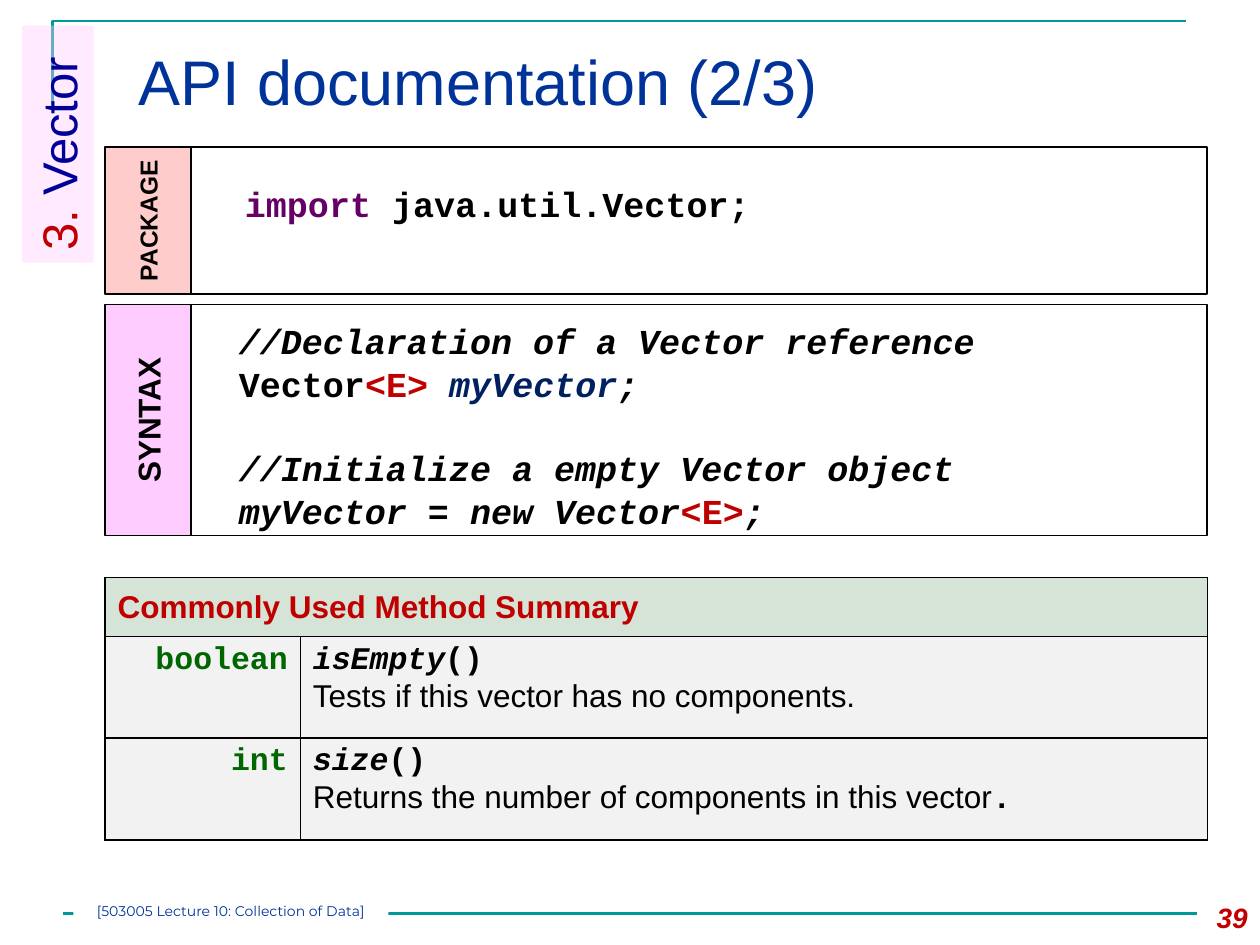
from dataclasses import dataclass

from lxml import etree
from pptx import Presentation
from pptx.dml.color import RGBColor
from pptx.enum.shapes import MSO_CONNECTOR, MSO_SHAPE
from pptx.enum.text import MSO_ANCHOR, PP_ALIGN
from pptx.oxml.ns import qn
from pptx.util import Pt

COLORS = {
    "black": "000000", "white": "FFFFFF", "teal": "009999", "title": "003399",
    "navy": "000099", "red": "C00000", "variable": "002060", "keyword": "660066",
    "type": "006600", "pink": "FFCCCC", "lilac": "FFCCFF", "sage": "D6E3D7",
    "gray": "F2F2F2",
}
SANS, MONO = "Arial", "Courier New"
LEFT, RIGHT = 60, 690
LABEL_WIDTH = 49
CODE_PITCH = 24.2


@dataclass(frozen=True)
class Span:
    text: str
    size: float
    color: str = "black"
    font: str = SANS
    bold: bool = False
    italic: bool = False


@dataclass(frozen=True)
class Panel:
    label: str
    label_size: float
    label_fill: str
    top: float
    height: float
    inset_top: float
    inset_bottom: float
    lines: list
    gap_before: int = -1  # index of the line that opens a new block


@dataclass(frozen=True)
class Method:
    returns: str
    name: str
    summary: list


def rgb(color: str) -> RGBColor:
    return RGBColor.from_string(COLORS[color])


def code(text: str, color: str = "black", italic: bool = False, size: float = 20) -> Span:
    return Span(text, size, color, MONO, True, italic)


def add_spans(paragraph, spans: list, align=PP_ALIGN.LEFT) -> None:
    paragraph.alignment = align
    for span in spans:
        run = paragraph.add_run()
        run.text = span.text
        run.font.size = Pt(span.size)
        run.font.name = span.font
        run.font.bold = span.bold
        run.font.italic = span.italic
        run.font.color.rgb = rgb(span.color)


def set_insets(frame, left: float, top: float, right: float, bottom: float) -> None:
    frame.margin_left, frame.margin_top = Pt(left), Pt(top)
    frame.margin_right, frame.margin_bottom = Pt(right), Pt(bottom)


def add_box(slide, left: float, top: float, width: float, height: float,
            fill: str = "", line: str = "", anchor=MSO_ANCHOR.MIDDLE):
    box = slide.shapes.add_shape(
        MSO_SHAPE.RECTANGLE, Pt(left), Pt(top), Pt(width), Pt(height))
    box.shadow.inherit = False
    if fill:
        box.fill.solid()
        box.fill.fore_color.rgb = rgb(fill)
    else:
        box.fill.background()
    if line:
        box.line.color.rgb = rgb(line)
        box.line.width = Pt(1)
    else:
        box.line.fill.background()
    box.text_frame.word_wrap = True
    box.text_frame.vertical_anchor = anchor
    return box


def add_text(slide, left: float, top: float, width: float, height: float,
             span: Span, align=PP_ALIGN.LEFT, inset_top: float = 3.6) -> None:
    frame = slide.shapes.add_textbox(
        Pt(left), Pt(top), Pt(width), Pt(height)).text_frame
    frame.word_wrap = True
    frame.margin_top = Pt(inset_top)
    add_spans(frame.paragraphs[0], [span], align)


def add_frame_lines(slide) -> None:
    """Draw the corner line at the top and the rule at the bottom."""
    builder = slide.shapes.build_freeform(Pt(30), Pt(60))
    builder.add_line_segments([(Pt(30), Pt(12)), (Pt(678), Pt(12))], close=False)
    corner = builder.convert_to_shape()
    corner.shadow.inherit = False
    corner.fill.background()
    rule = slide.shapes.add_connector(
        MSO_CONNECTOR.STRAIGHT, Pt(36), Pt(522), Pt(684), Pt(522))
    etree.SubElement(rule.element.spPr, qn("a:effectLst"))
    for stroke in (corner.line, rule.line):
        stroke.color.rgb = rgb("teal")
        stroke.width = Pt(1.5)


def add_section_tab(slide) -> None:
    tab = add_box(slide, -34.6, 61.9, 135.4, 41, fill="lilac", anchor=MSO_ANCHOR.TOP)
    tab.rotation = 270
    fill_color = tab.element.spPr.find(f"{qn('a:solidFill')}/{qn('a:srgbClr')}")
    etree.SubElement(fill_color, qn("a:alpha"), val="40000")
    add_spans(tab.text_frame.paragraphs[0],
              [Span("3.", 28, "red"), Span(" Vector", 28, "navy")])


def add_panel(slide, panel: Panel) -> None:
    label = add_box(slide, LEFT, panel.top, LABEL_WIDTH, panel.height,
                    panel.label_fill, "black")
    label.text_frame._txBody.bodyPr.set("vert", "vert270")
    add_spans(label.text_frame.paragraphs[0],
              [Span(panel.label, panel.label_size, bold=True)], PP_ALIGN.CENTER)

    body_left = LEFT + LABEL_WIDTH
    body = add_box(slide, body_left, panel.top, RIGHT - body_left, panel.height,
                   line="black")
    frame = body.text_frame
    set_insets(frame, 27.5 if panel.gap_before > 0 else 31, panel.inset_top,
               7.2, panel.inset_bottom)
    for index, spans in enumerate(panel.lines):
        paragraph = frame.add_paragraph() if index else frame.paragraphs[0]
        paragraph.line_spacing = Pt(CODE_PITCH)
        if index == panel.gap_before:
            paragraph.space_before = Pt(CODE_PITCH)
        add_spans(paragraph, spans)


def style_cell(cell, fill: str) -> None:
    properties = cell._tc.get_or_add_tcPr()
    for side in ("lnL", "lnR", "lnT", "lnB"):
        border = etree.SubElement(properties, qn(f"a:{side}"), w=str(Pt(1)))
        stroke = etree.SubElement(border, qn("a:solidFill"))
        etree.SubElement(stroke, qn("a:srgbClr"), val=COLORS["black"])
    cell.fill.solid()
    cell.fill.fore_color.rgb = rgb(fill)


def add_method_table(slide, heading: str, methods: list) -> None:
    table = slide.shapes.add_table(
        len(methods) + 1, 2, Pt(LEFT), Pt(330), Pt(RIGHT - LEFT), Pt(150)).table
    for column, width in zip(table.columns, (111.6, 518.4)):
        column.width = Pt(width)
    for row, height in zip(table.rows, (33.8, 58, 58.2)):
        row.height = Pt(height)
    for index, row in enumerate(table.rows):
        for cell in row.cells:
            style_cell(cell, "gray" if index else "sage")

    header = table.cell(0, 0)
    header.merge(table.cell(0, 1))
    header.vertical_anchor = MSO_ANCHOR.MIDDLE
    add_spans(header.text_frame.paragraphs[0], [Span(heading, 18, "red", bold=True)])
    for index, method in enumerate(methods, start=1):
        add_spans(table.cell(index, 0).text_frame.paragraphs[0],
                  [code(method.returns, "type", size=18)], PP_ALIGN.RIGHT)
        description = table.cell(index, 1).text_frame.paragraphs[0]
        add_spans(description, [code(method.name, italic=True, size=18),
                                code("()", size=18)])
        description.add_line_break()
        add_spans(description, method.summary)


PANELS = [
    Panel("SYNTAX", 18, "lilac", 174, 132, 6, 0, [
        [code("//Declaration of a Vector reference", italic=True)],
        [code("Vector"), code("<E> ", "red"), code("myVector", "variable", True),
         code(";", italic=True)],
        [code("//Initialize a empty Vector object", italic=True)],
        [code("myVector = new Vector", italic=True), code("<E>", "red"),
         code(";", italic=True)],
    ], gap_before=2),
    Panel("PACKAGE", 14, "pink", 84, 84, 0, 20, [
        [code("import", "keyword"), code(" java.util.Vector;")],
    ]),
]
METHODS = [
    Method("boolean", "isEmpty", [Span("Tests if this vector has no components.", 18)]),
    Method("int", "size", [Span("Returns the number of components in this vector", 18),
                           code(".", size=18)]),
]


def main() -> None:
    deck = Presentation()
    deck.slide_width, deck.slide_height = Pt(720), Pt(540)
    slide = deck.slides.add_slide(deck.slide_layouts[6])
    add_frame_lines(slide)
    add_text(slide, 72, 18, 612, 62, Span("API documentation (2/3)", 36, "title"),
             inset_top=6)
    add_text(slide, 672, 511, 48, 29, Span("39", 16, "red", bold=True, italic=True),
             PP_ALIGN.RIGHT)
    add_section_tab(slide)
    for panel in PANELS:
        add_panel(slide, panel)
    add_method_table(slide, "Commonly Used Method Summary", METHODS)
    footer = add_box(slide, 42, 516, 180, 12, fill="white", anchor=MSO_ANCHOR.TOP)
    set_insets(footer.text_frame, 0, 0, 0, 0)
    add_spans(footer.text_frame.paragraphs[0],
              [Span("[503005 Lecture 10: Collection of Data]", 8, "title", "Montserrat")],
              PP_ALIGN.CENTER)
    deck.save("out.pptx")


if __name__ == "__main__":
    main()
